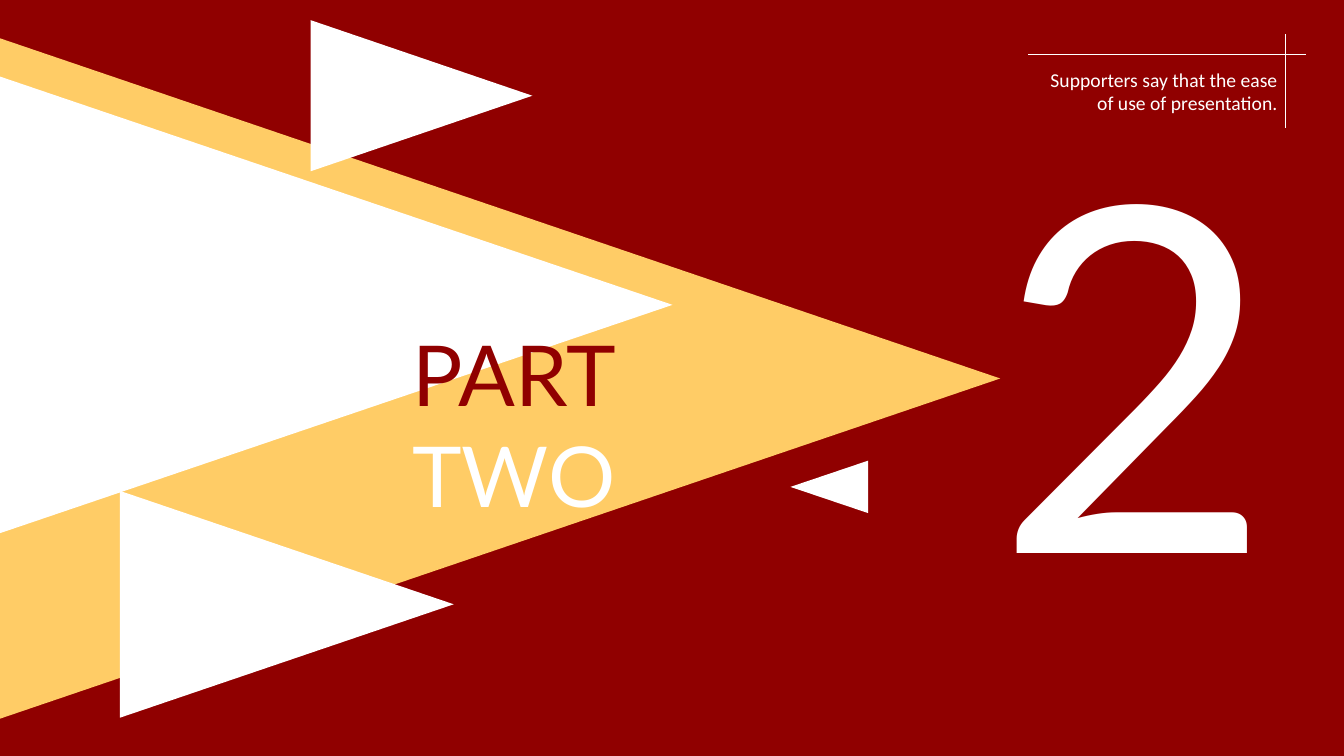
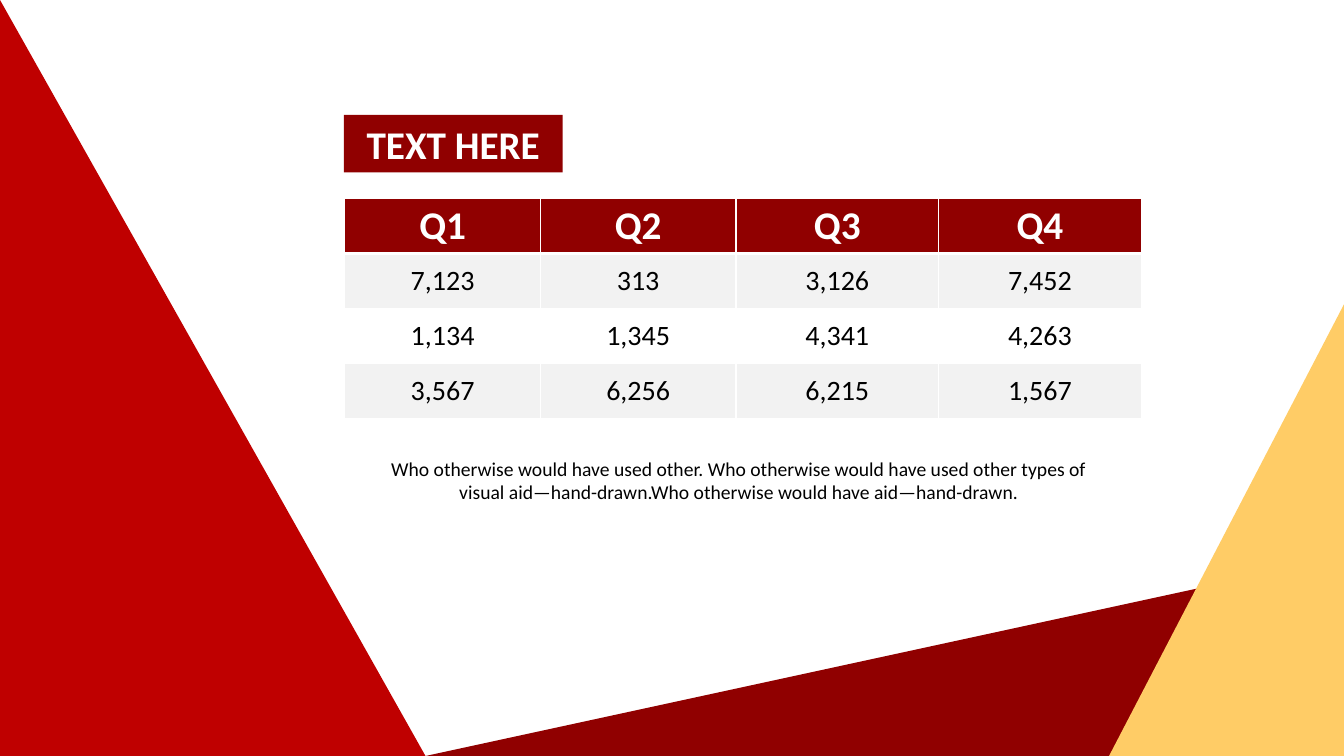
from collections import namedtuple
from dataclasses import dataclass

from lxml import etree
from pptx import Presentation
from pptx import util as u
from pptx.dml.color import RGBColor
from pptx.enum import shapes, text
from pptx.oxml.ns import qn

Box = namedtuple("Box", "left top width height")


@dataclass(frozen=True)
class Theme:
    dark_red: str = "900000"
    red: str = "BF0000"
    gold: str = "FFCC66"
    white: str = "FFFFFF"
    black: str = "000000"
    band: str = "F2F2F2"
    body_font: str = "Calibri"
    display_font: str = "Lato"
    note: int = 14
    figure: int = 20
    heading: int = 28
    section_title: int = 60
    numeral: int = 344


THEME = Theme()
PAGE = Box(0, 0, 13.33, 7.5)
LEFT, CENTER, RIGHT = text.PP_ALIGN.LEFT, text.PP_ALIGN.CENTER, text.PP_ALIGN.RIGHT


# Shared helpers
def inches(box):
    return [u.Inches(value) for value in box]


def inside(box, left, top, width, height):
    """Turn a place relative to a box into a place on the page."""
    return Box(box.left + left, box.top + top, width, height)


def add_page(deck, colour):
    page = deck.slides.add_slide(deck.slide_layouts[6])
    page.background.fill.solid()
    page.background.fill.fore_color.rgb = RGBColor.from_string(colour)
    return page


def write(frame, words, size, colour, font=THEME.body_font, bold=False, align=LEFT):
    """Fill a text frame; each line of words takes its own colour if several are given."""
    colours = colour if isinstance(colour, tuple) else (colour,)
    para = frame.paragraphs[0]
    para.alignment = align
    for index, line in enumerate(words.split("\n")):
        if index:
            para.add_line_break()
        span = para.add_run()
        span.text = line
        span.font.size = u.Pt(size)
        span.font.name = font
        span.font.bold = bold
        span.font.color.rgb = RGBColor.from_string(colours[index % len(colours)])


def add_text(page, box, words, size, colour, wrap=True, **style):
    frame = page.shapes.add_textbox(*inches(box)).text_frame
    frame.word_wrap = wrap
    write(frame, words, size, colour, **style)


def add_shape(page, kind, box, colour):
    shape = page.shapes.add_shape(kind, *inches(box))
    shape.shadow.inherit = False
    shape.fill.solid()
    shape.fill.fore_color.rgb = RGBColor.from_string(colour)
    shape.line.fill.background()
    return shape


def add_slope(page, box, apex, colour):
    """Upright triangle with its apex at a share of the width."""
    triangle = add_shape(page, shapes.MSO_SHAPE.ISOSCELES_TRIANGLE, box, colour)
    triangle.adjustments[0] = apex


def add_pointer(page, box, colour, turn=90):
    """Sideways triangle that covers the box once it is turned."""
    shift = (box.width - box.height) / 2
    upright = Box(box.left + shift, box.top - shift, box.height, box.width)
    triangle = add_shape(page, shapes.MSO_SHAPE.ISOSCELES_TRIANGLE, upright, colour)
    triangle.rotation = turn


def add_line(page, start, end, colour):
    line = page.shapes.add_connector(
        shapes.MSO_CONNECTOR.STRAIGHT, *inches(start), *inches(end))
    line.line.color.rgb = RGBColor.from_string(colour)
    line.line.width = u.Pt(0.5)
    etree.SubElement(line._element.spPr, qn("a:effectLst"))


def add_border(cell, side, width, colour):
    line = etree.SubElement(cell._tc.get_or_add_tcPr(), qn(f"a:ln{side}"),
                            w=str(u.Pt(width)))
    fill = etree.SubElement(line, qn("a:solidFill"))
    etree.SubElement(fill, qn("a:srgbClr"), val=colour)


# Section slide regions
def add_caption(page, box):
    rule, stem = box.top + 0.2, box.left + 2.55
    add_text(page, inside(box, 0, 0.28, 2.57, 0.57),
             "Supporters say that the ease of use of presentation.",
             THEME.note, THEME.white, align=RIGHT)
    add_line(page, (box.left, rule), (box.left + box.width, rule), THEME.white)
    add_line(page, (stem, box.top), (stem, box.top + box.height), THEME.white)


def add_pointers(page, box):
    add_pointer(page, inside(box, 0, 0.38, 9.92, 6.75), THEME.gold)
    for place in ((3.08, 0.2, 2.2, 1.5), (1.19, 4.87, 3.31, 2.25),
                  (0, 0.76, 6.67, 4.53)):
        add_pointer(page, inside(box, *place), THEME.white)
    add_pointer(page, inside(box, 7.84, 4.57, 0.77, 0.52), THEME.white, turn=270)


def build_section(deck, box):
    page = add_page(deck, THEME.dark_red)
    add_pointers(page, box)
    add_text(page, inside(box, 9.77, 0.66, 2.69, 5.89), "2", THEME.numeral,
             THEME.white, wrap=False, font=THEME.display_font)
    add_caption(page, inside(box, 10.2, 0.34, 2.75, 0.93))
    add_text(page, inside(box, 3.99, 3.15, 4.29, 2.1), "PART\nTWO",
             THEME.section_title, (THEME.dark_red, THEME.white),
             font=THEME.display_font)


# Table slide regions
def add_slopes(page, box):
    for place, apex, colour in (
            ((4.22, 5.72, 8.2, 1.78), 1, THEME.dark_red),
            ((0, 0, 4.22, 7.5), 0, THEME.red),
            ((11, 3, 2.34, 4.5), 1, THEME.gold)):
        add_slope(page, inside(box, *place), apex, colour)


def add_label(page, box, words):
    label = add_shape(page, shapes.MSO_SHAPE.RECTANGLE, box, THEME.dark_red)
    write(label.text_frame, words, THEME.heading, THEME.white, bold=True, align=CENTER)


def add_quarters(page, box):
    rows = (("Q1", "Q2", "Q3", "Q4"),
            ("7,123", "313", "3,126", "7,452"),
            ("1,134", "1,345", "4,341", "4,263"),
            ("3,567", "6,256", "6,215", "1,567"))
    table = page.shapes.add_table(len(rows), len(rows[0]), *inches(box)).table
    for column, width in zip(table.columns, (1.94, 1.94, 2.01, 2.01)):
        column.width = u.Inches(width)
    for row_index, values in enumerate(rows):
        header = row_index == 0
        if header:
            fill, size, colour = THEME.dark_red, THEME.heading, THEME.white
        else:
            fill = THEME.band if row_index % 2 else THEME.white
            size, colour = THEME.figure, THEME.black
        for column_index, value in enumerate(values):
            cell = table.cell(row_index, column_index)
            cell.vertical_anchor = text.MSO_ANCHOR.MIDDLE
            cell.margin_top = cell.margin_bottom = u.Inches(0.03)
            write(cell.text_frame, value, size, colour, bold=header, align=CENTER)
            # Borders come before the fill in the cell's properties
            for side in "LRTB":
                thick = (header and side == "B") or (row_index == 1 and side == "T")
                add_border(cell, side, 3 if thick else 1, THEME.white)
            cell.fill.solid()
            cell.fill.fore_color.rgb = RGBColor.from_string(fill)


def build_table(deck, box):
    page = add_page(deck, THEME.white)
    add_slopes(page, box)
    add_quarters(page, inside(box, 3.42, 1.97, 7.9, 2.18))
    add_text(page, inside(box, 3.66, 4.48, 7.34, 0.57),
             "Who otherwise would have used other. Who otherwise would have used "
             "other types of visual aid—hand-drawn.Who otherwise would have "
             "aid—hand-drawn.", THEME.note, THEME.black, align=CENTER)
    add_label(page, inside(box, 3.41, 1.14, 2.17, 0.57), "TEXT HERE")


def main():
    deck = Presentation()
    deck.slide_width, deck.slide_height = u.Inches(PAGE.width), u.Inches(PAGE.height)
    build_section(deck, PAGE)
    build_table(deck, PAGE)
    deck.save("out.pptx")


if __name__ == "__main__":
    main()
